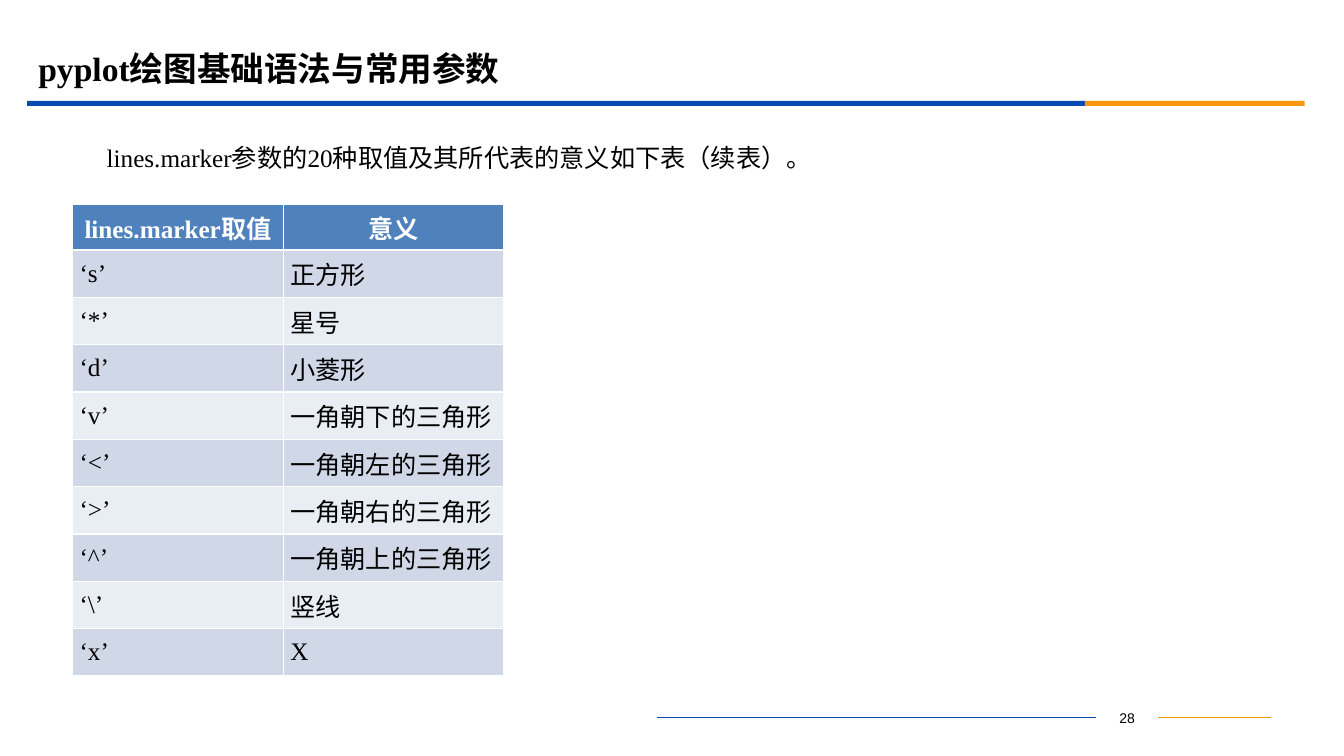
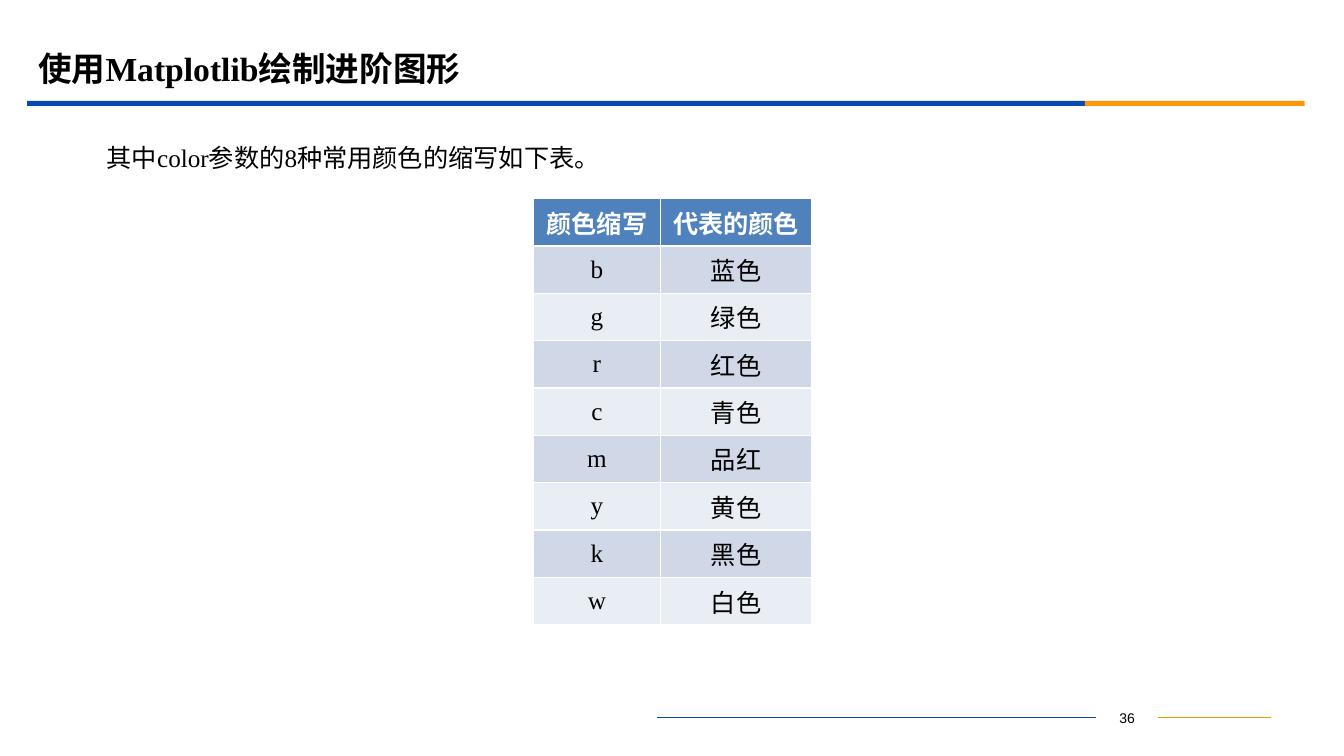
import pptx
import pptx.util
import pptx.dml.color
import pptx.enum.shapes
import pptx.enum.text
import pptx.oxml.ns
import lxml.etree

RGBColor = pptx.dml.color.RGBColor
PP_ALIGN = pptx.enum.text.PP_ALIGN
MSO_ANCHOR = pptx.enum.text.MSO_ANCHOR

BLACK = RGBColor(0x00, 0x00, 0x00)
WHITE = RGBColor(0xFF, 0xFF, 0xFF)
BLUE = RGBColor(0x06, 0x4B, 0xB2)
ORANGE = RGBColor(0xFB, 0x97, 0x08)
FOOTER_ORANGE = RGBColor(0xF1, 0x95, 0x00)
HEADER_FILL = RGBColor(0x4F, 0x81, 0xBD)
BAND_FILLS = (RGBColor(0xD0, 0xD8, 0xE8), RGBColor(0xE9, 0xED, 0xF4))

PX = 9144
SERIF = "Times New Roman"
TITLE_FONT = {"name": SERIF, "size": pptx.util.Pt(24), "bold": True}
BODY_FONT = {"name": SERIF, "size": pptx.util.Pt(18), "bold": False}
HEADER_FONT = {"name": SERIF, "size": pptx.util.Pt(18), "bold": True}
NUMBER_FONT = {"name": "Arial", "size": pptx.util.Pt(10), "bold": False}

BANDS = [((27, 100, 1049, 5), BLUE), ((1076, 100, 218, 5), ORANGE)]
TITLE_BOX = (28, 39, 1200, 58)
BODY_BOX = (46, 121, 1215, 553)
NUMBER_BOX = (1087, 699, 62, 26)
FOOTER_LINES = [(652, 1, BLUE), (1261, 3, FOOTER_ORANGE)]
ROW_HEIGHT = 47

SLIDES = [
    {
        "title": "pyplot绘图基础语法与常用参数",
        "intro": "lines.marker参数的20种取值及其所代表的意义如下表（续表）。",
        "number": "28",
        "origin": (72, 203),
        "columns": (209, 218),
        "header_height": 45,
        "alignment": PP_ALIGN.LEFT,
        "rows": [
            ("lines.marker取值", "意义"),
            ("‘s’", "正方形"),
            ("‘*’", "星号"),
            ("‘d’", "小菱形"),
            ("‘v’", "一角朝下的三角形"),
            ("‘<’", "一角朝左的三角形"),
            ("‘>’", "一角朝右的三角形"),
            ("‘^’", "一角朝上的三角形"),
            ("‘\\’", "竖线"),
            ("‘x’", "X"),
        ],
    },
    {
        "title": "使用Matplotlib绘制进阶图形",
        "intro": "其中color参数的8种常用颜色的缩写如下表。",
        "number": "36",
        "origin": (529, 197),
        "columns": (126, 150),
        "header_height": 47,
        "alignment": PP_ALIGN.CENTER,
        "rows": [
            ("颜色缩写", "代表的颜色"),
            ("b", "蓝色"),
            ("g", "绿色"),
            ("r", "红色"),
            ("c", "青色"),
            ("m", "品红"),
            ("y", "黄色"),
            ("k", "黑色"),
            ("w", "白色"),
        ],
    },
]


def emu(lengths):
    return [length * PX for length in lengths]


def write(text_frame, text, font_format, color=BLACK, alignment=PP_ALIGN.LEFT):
    paragraph = text_frame.paragraphs[0]
    paragraph.alignment = alignment
    run = paragraph.add_run()
    run.text = text
    for name, value in font_format.items():
        setattr(run.font, name, value)
    run.font.color.rgb = color
    return paragraph


def add_title(slide, text):
    title = slide.shapes.title
    title.left, title.top, title.width, title.height = emu(TITLE_BOX)
    title.text_frame.vertical_anchor = MSO_ANCHOR.MIDDLE
    write(title.text_frame, text, TITLE_FONT)


def add_bands(slide):
    for box, color in BANDS:
        band = slide.shapes.add_shape(pptx.enum.shapes.MSO_SHAPE.RECTANGLE, *emu(box))
        band.shadow.inherit = False
        band.fill.solid()
        band.fill.fore_color.rgb = color
        band.line.fill.background()


def add_intro(slide, text):
    intro = slide.shapes.add_textbox(*emu(BODY_BOX))
    intro.text_frame.word_wrap = True
    paragraph = write(intro.text_frame, text, BODY_FONT)
    paragraph.line_spacing = 1.5
    paragraph._p.get_or_add_pPr().set("indent", str(50 * PX))


def add_footer(slide, number):
    number_box = slide.shapes.add_textbox(*emu(NUMBER_BOX))
    number_box.text_frame.word_wrap = True
    number_box.text_frame.vertical_anchor = MSO_ANCHOR.MIDDLE
    write(number_box.text_frame, number, NUMBER_FONT, alignment=PP_ALIGN.CENTER)
    middle = NUMBER_BOX[1] + NUMBER_BOX[3] // 2
    for outer_end, side, color in FOOTER_LINES:
        line = slide.shapes.add_connector(
            pptx.enum.shapes.MSO_CONNECTOR.STRAIGHT,
            *emu((outer_end, middle, outer_end, middle)))
        line.end_connect(number_box, side)
        line.line.color.rgb = color
        line.line.width = pptx.util.Pt(0.75)
        properties = line._element.spPr
        properties.set("bwMode", "gray")
        lxml.etree.SubElement(properties, pptx.oxml.ns.qn("a:effectLst"))


def add_table(slide, content):
    rows, columns = content["rows"], content["columns"]
    heights = [content["header_height"]] + [ROW_HEIGHT] * (len(rows) - 1)
    box = (*content["origin"], sum(columns), sum(heights))
    table = slide.shapes.add_table(len(rows), len(columns), *emu(box)).table
    for column, width in zip(table.columns, columns):
        column.width = width * PX
    cell_format = {
        "vertical_anchor": MSO_ANCHOR.MIDDLE,
        "margin_left": 7 * PX,
        "margin_right": 7 * PX,
        "margin_top": 0,
        "margin_bottom": 0,
    }
    for index, (row, height, texts) in enumerate(zip(table.rows, heights, rows)):
        row.height = height * PX
        if index == 0:
            fill, style = HEADER_FILL, (HEADER_FONT, WHITE, PP_ALIGN.CENTER)
        else:
            fill = BAND_FILLS[(index - 1) % 2]
            style = (BODY_FONT, BLACK, content["alignment"])
        for cell, text in zip(row.cells, texts):
            for name, value in cell_format.items():
                setattr(cell, name, value)
            cell.fill.solid()
            cell.fill.fore_color.rgb = fill
            write(cell.text_frame, text, *style)


def main():
    presentation = pptx.Presentation()
    presentation.slide_width, presentation.slide_height = emu((1333, 750))
    layout = presentation.slide_layouts.get_by_name("Title Only")
    for content in SLIDES:
        slide = presentation.slides.add_slide(layout)
        add_bands(slide)
        add_footer(slide, content["number"])
        add_intro(slide, content["intro"])
        add_title(slide, content["title"])
        add_table(slide, content)
    presentation.save("out.pptx")


if __name__ == "__main__":
    main()
